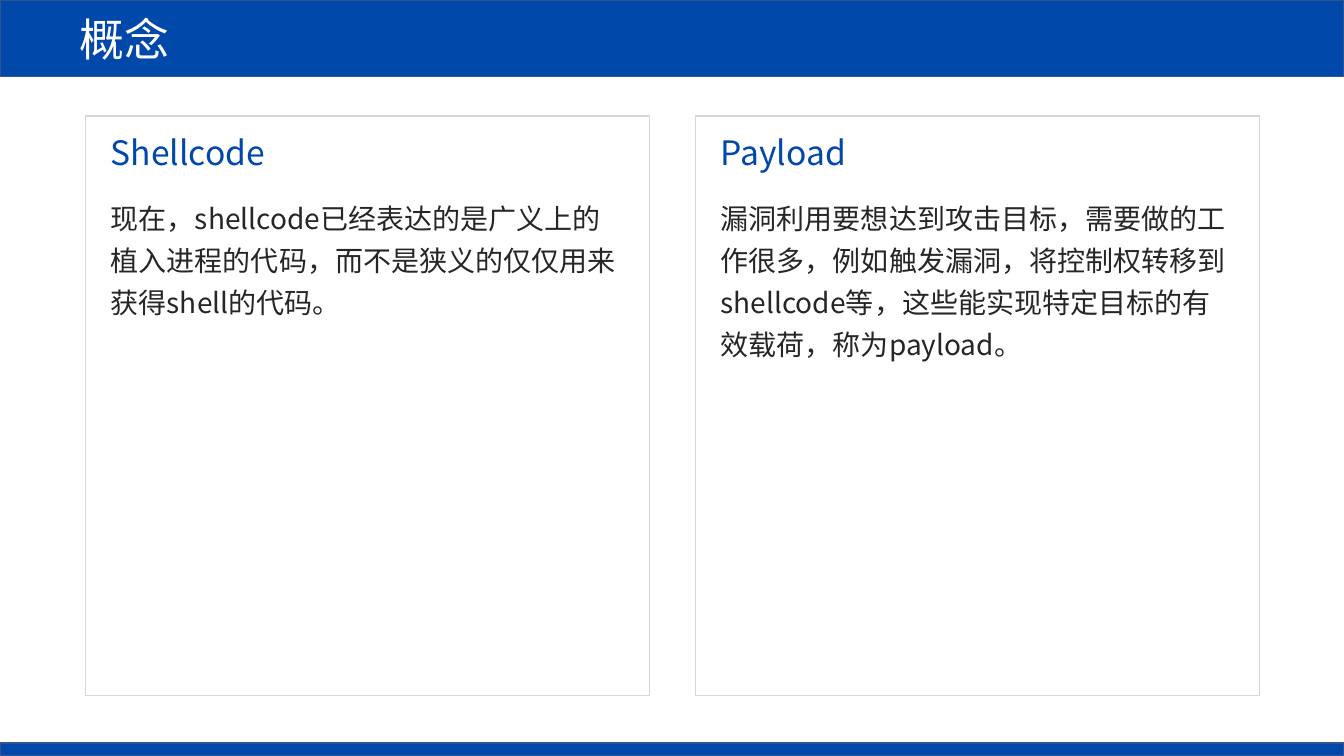
from pptx import Presentation
from pptx.dml.color import RGBColor
from pptx.enum.shapes import MSO_SHAPE
from pptx.enum.text import MSO_ANCHOR, MSO_AUTO_SIZE, PP_ALIGN
from pptx.oxml.ns import qn
from pptx.util import Inches, Pt

TITLE = "概念"
CARDS = [
    ("Shellcode", 1.76,
     "现在，shellcode已经表达的是广义上的植入进程的代码，而不是狭义的仅仅用来获得shell的代码。", 1.32),
    ("Payload", 1.46,
     "漏洞利用要想达到攻击目标，需要做的工作很多，例如触发漏洞，将控制权转移到shellcode等，"
     "这些能实现特定目标的有效载荷，称为payload。", 1.75),
]

FONT = "Noto Sans CJK SC"
BLUE = RGBColor(0x00, 0x48, 0xAA)
BAR_EDGE = RGBColor(0x32, 0x54, 0x91)
CARD_EDGE = RGBColor(0xD6, 0xD6, 0xD6)
DARK = RGBColor(0x26, 0x26, 0x26)
WHITE = RGBColor(0xFF, 0xFF, 0xFF)

SLIDE_WIDTH, SLIDE_HEIGHT = 13.33, 7.5
HEADER_HEIGHT, FOOTER_HEIGHT = 0.76, 0.13
CARD_LEFT, CARD_TOP, CARD_WIDTH, CARD_HEIGHT = 0.85, 1.15, 5.59, 5.75
CARD_STEP = 6.05
PADDING = 0.15
HEADING_TOP, HEADING_HEIGHT = 1.26, 0.5
BODY_TOP, BODY_WIDTH = 1.87, 5.28


def add_rectangle(slide, left, top, width, height, edge, fill=None):
    shape = slide.shapes.add_shape(
        MSO_SHAPE.RECTANGLE, Inches(left), Inches(top), Inches(width), Inches(height))
    shape.shadow.inherit = False
    if fill is None:
        shape.fill.background()
    else:
        shape.fill.solid()
        shape.fill.fore_color.rgb = fill
    shape.line.color.rgb = edge
    shape.line.width = Pt(1)
    return shape


def write(shape, text, size, color):
    """Put left-aligned text in the shape, with one font for Latin and Chinese."""
    shape.text_frame.text = text
    paragraph = shape.text_frame.paragraphs[0]
    paragraph.alignment = PP_ALIGN.LEFT
    font = paragraph.runs[0].font
    font.name, font.size, font.color.rgb = FONT, Pt(size), color
    properties = paragraph.runs[0]._r.get_or_add_rPr()
    east_asian = properties.makeelement(qn("a:ea"), {"typeface": FONT})
    properties.find(qn("a:latin")).addnext(east_asian)
    return paragraph


def add_text(slide, left, top, width, height, text, size, color, wrap):
    box = slide.shapes.add_textbox(
        Inches(left), Inches(top), Inches(width), Inches(height))
    box.text_frame.word_wrap = wrap
    box.text_frame.auto_size = MSO_AUTO_SIZE.SHAPE_TO_FIT_TEXT
    return write(box, text, size, color)


def main():
    presentation = Presentation()
    presentation.slide_width = Inches(SLIDE_WIDTH)
    presentation.slide_height = Inches(SLIDE_HEIGHT)
    slide = presentation.slides.add_slide(presentation.slide_layouts[6])

    header = add_rectangle(slide, 0, 0, SLIDE_WIDTH, HEADER_HEIGHT, BAR_EDGE, BLUE)
    header.text_frame.vertical_anchor = MSO_ANCHOR.MIDDLE
    header.text_frame.margin_left = Inches(0.79)
    write(header, TITLE, 32, WHITE)
    add_rectangle(slide, 0, SLIDE_HEIGHT - FOOTER_HEIGHT, SLIDE_WIDTH, FOOTER_HEIGHT,
                  BAR_EDGE, BLUE)

    for index, (heading, heading_width, body, body_height) in enumerate(CARDS):
        left = CARD_LEFT + index * CARD_STEP
        text_left = left + PADDING
        add_rectangle(slide, left, CARD_TOP, CARD_WIDTH, CARD_HEIGHT, CARD_EDGE)
        add_text(slide, text_left, HEADING_TOP, heading_width, HEADING_HEIGHT,
                 heading, 24, BLUE, wrap=False)
        paragraph = add_text(slide, text_left, BODY_TOP, BODY_WIDTH, body_height,
                             body, 20, DARK, wrap=True)
        paragraph.line_spacing = 1.25

    presentation.save("out.pptx")


if __name__ == "__main__":
    main()
